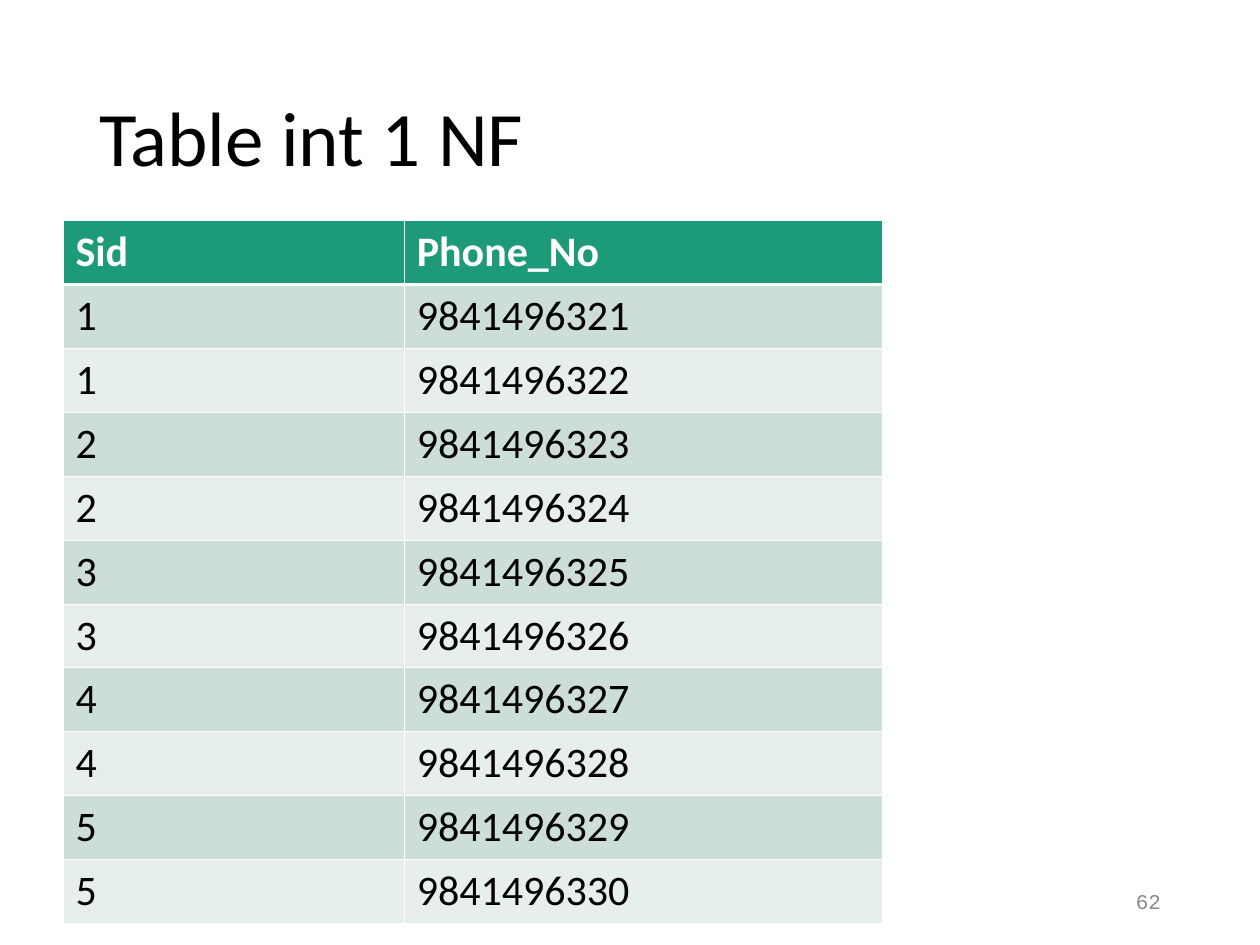
from lxml.etree import SubElement
from pptx import Presentation
from pptx.dml.color import RGBColor
from pptx.enum.text import MSO_ANCHOR as Anchor, PP_ALIGN as Align
from pptx.oxml.ns import qn
from pptx.util import Pt


def color(hex_string):
    return RGBColor.from_string(hex_string)


def add_border(cell, side, width, hex_string):
    """Side is L, R, T or B; call before the cell's fill is set."""
    line = SubElement(cell._tc.get_or_add_tcPr(), qn(f"a:ln{side}"), w=str(Pt(width)))
    fill = SubElement(line, qn("a:solidFill"))
    SubElement(fill, qn("a:srgbClr"), val=hex_string)


class SlideBuilder:
    FONT = "Calibri"
    NUMBER_FONT = "Courier New"
    BLACK, WHITE, GRAY = "000000", "FFFFFF", "898989"
    HEADER = "1D9A78"
    BANDS = ("CCDED6", "E7EFEC")
    THIN, THICK = 0.45, 1.47

    def __init__(self, slide):
        self.slide = slide

    def format_text(self, paragraph, size, hex_string, font=FONT, bold=False):
        paragraph.font.size = Pt(size)
        paragraph.font.name = font
        paragraph.font.bold = bold
        paragraph.font.color.rgb = color(hex_string)

    def add_title(self, text, left, top, width, height):
        title = self.slide.shapes.title
        title.left, title.top = Pt(left), Pt(top)
        title.width, title.height = Pt(width), Pt(height)
        frame = title.text_frame
        frame.text = text
        frame.vertical_anchor = Anchor.MIDDLE
        paragraph = frame.paragraphs[0]
        paragraph.alignment = Align.LEFT
        paragraph.line_spacing = 0.9
        self.format_text(paragraph, 44, self.BLACK)

    def add_table(self, rows, left, top, column_widths, row_height):
        table = self.slide.shapes.add_table(
            len(rows), len(column_widths), Pt(left), Pt(top),
            Pt(sum(column_widths)), Pt(row_height * len(rows))).table
        for column, width in zip(table.columns, column_widths):
            column.width = Pt(width)
        for row_index, values in enumerate(rows):
            for column_index, value in enumerate(values):
                self.fill_cell(table.cell(row_index, column_index), value, row_index)

    def fill_cell(self, cell, value, row_index):
        is_header = row_index == 0
        cell.text = str(value)
        self.format_text(cell.text_frame.paragraphs[0], 24,
                         self.WHITE if is_header else self.BLACK, bold=is_header)
        widths = {"L": self.THIN, "R": self.THIN,
                  "T": self.THICK if row_index == 1 else self.THIN,
                  "B": self.THICK if is_header else self.THIN}
        for side, width in widths.items():
            add_border(cell, side, width, self.WHITE)
        cell.fill.solid()
        cell.fill.fore_color.rgb = color(
            self.HEADER if is_header else self.BANDS[(row_index - 1) % 2])

    def add_page_number(self, number, left, top, width, height):
        frame = self.slide.shapes.add_textbox(
            Pt(left), Pt(top), Pt(width), Pt(height)).text_frame
        frame.word_wrap = True
        frame.vertical_anchor = Anchor.MIDDLE
        frame.text = str(number)
        paragraph = frame.paragraphs[0]
        paragraph.alignment = Align.RIGHT
        self.format_text(paragraph, 12, self.GRAY, font=self.NUMBER_FONT)


def main():
    presentation = Presentation()
    presentation.slide_width, presentation.slide_height = Pt(720), Pt(540)
    title_only = presentation.slide_layouts[5]
    builder = SlideBuilder(presentation.slides.add_slide(title_only))

    builder.add_title("Table int 1 NF", 49.5, 28.75, 621, 104.4)
    # Each student has two phone numbers, one per row.
    phone_rows = [(index // 2 + 1, 9841496321 + index) for index in range(10)]
    builder.add_table([("Sid", "Phone_No")] + phone_rows, 36, 126, (195, 273), 36.5)
    builder.add_page_number(62, 508.5, 500.5, 162, 28.75)

    presentation.save("out.pptx")


if __name__ == "__main__":
    main()
